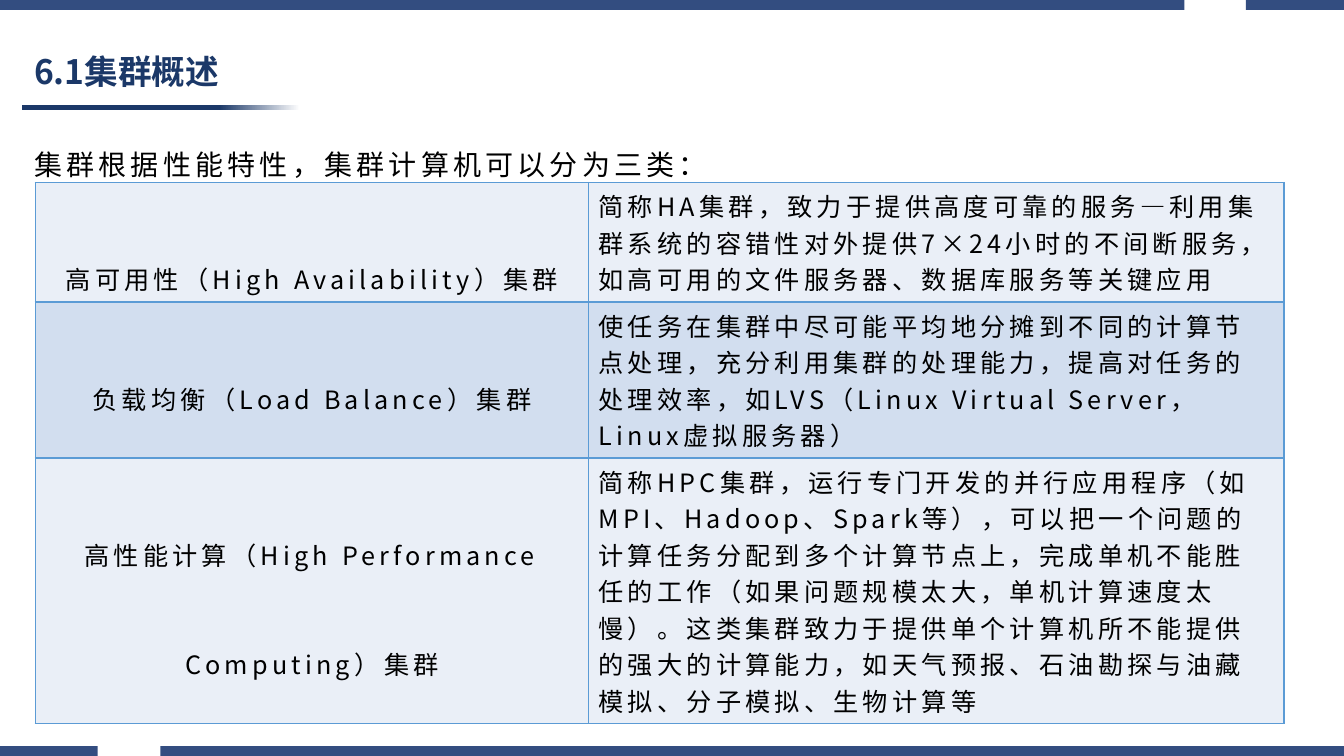
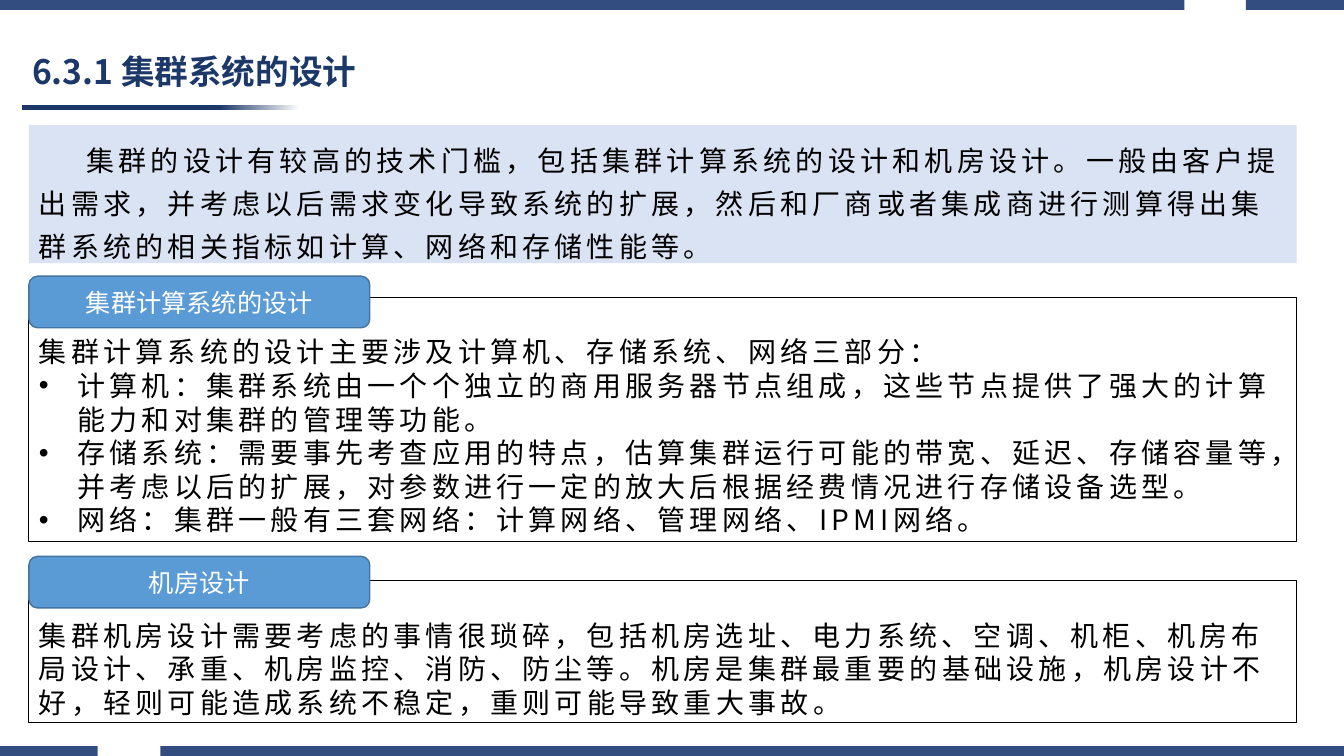
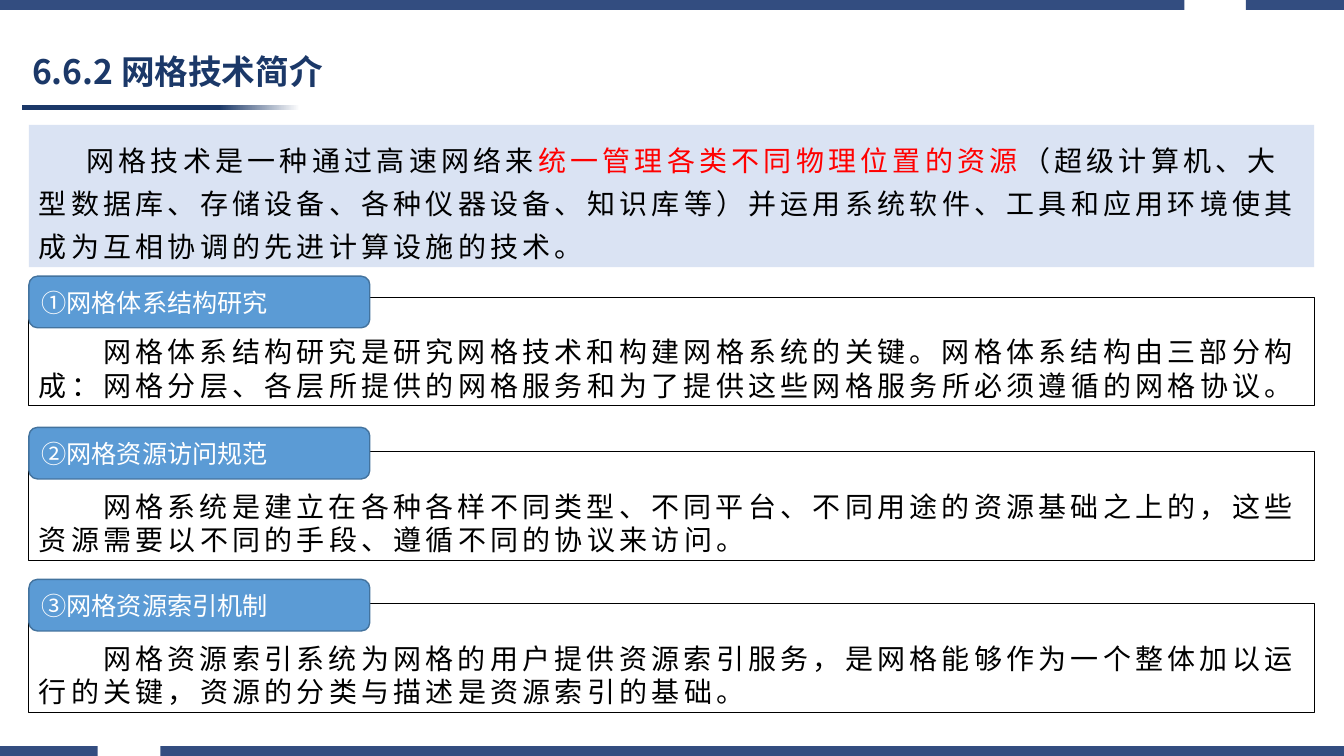
import pptx
import pptx.util
import pptx.dml.color
import pptx.enum.dml
import pptx.enum.shapes
import pptx.enum.text
import pptx.oxml.ns
import lxml.etree
from dataclasses import dataclass

Cm, Pt = pptx.util.Cm, pptx.util.Pt
SHAPE = pptx.enum.shapes.MSO_SHAPE
ALIGN = pptx.enum.text.PP_ALIGN
ANCHOR = pptx.enum.text.MSO_ANCHOR
qn = pptx.oxml.ns.qn


@dataclass(frozen=True)
class Theme:
    font: str = "Noto Sans CJK SC"
    navy: str = "1B3868"
    band: str = "334D80"
    panel: str = "DAE3F3"
    label: str = "5B9BD5"
    label_edge: str = "43739E"
    rows: tuple = ("EAEFF7", "D2DEEF")
    ink: str = "000000"
    accent: str = "FF0000"
    white: str = "FFFFFF"
    title_size: int = 24
    body_size: int = 20
    small_size: int = 18
    tracking: int = 3


T = Theme()
W, H, BAND_H = 33.87, 19.05, 0.25
BANDS = [(0, [(0, 29.85), (31.4, W)]), (H - BAND_H, [(0, 2.46), (4.04, W)])]
LEFT, INSET = 0.73, 0.25
LABEL_W, LABEL_H = 8.59, 1.3
PANEL_TOP = 3.15
BODY_LINE, LEAD_LINE = Pt(24), Pt(31)

CLASSES = {
    "title": "6.1集群概述",
    "lead": "集群根据性能特性，集群计算机可以分为三类：",
    "cols": [13.94, 17.53],
    "rows": [
        (3.01, "高可用性（High Availability）集群",
         "简称HA集群，致力于提供高度可靠的服务—利用集群系统的容错性对外提供7×24小时的不间断服务，"
         "如高可用的文件服务器、数据库服务等关键应用"),
        (3.93, "负载均衡（Load Balance）集群",
         "使任务在集群中尽可能平均地分摊到不同的计算节点处理，充分利用集群的处理能力，提高对任务的处理效率，"
         "如LVS（Linux Virtual Server，Linux虚拟服务器）"),
        (6.69, "高性能计算（High Performance Computing）集群",
         "简称HPC集群，运行专门开发的并行应用程序（如MPI、Hadoop、Spark等），"
         "可以把一个问题的计算任务分配到多个计算节点上，完成单机不能胜任的工作"
         "（如果问题规模太大，单机计算速度太慢）。这类集群致力于提供单个计算机所不能提供的强大的计算能力，"
         "如天气预报、石油勘探与油藏模拟、分子模拟、生物计算等"),
    ],
}

TOPICS = [
    {
        "title": "6.3.1 集群系统的设计",
        "width": 31.95,
        "panel_height": 3.48,
        "intro": [("集群的设计有较高的技术门槛，包括集群计算系统的设计和机房设计。一般由客户提出需求，"
                   "并考虑以后需求变化导致系统的扩展，然后和厂商或者集成商进行测算得出集群系统的相关指标"
                   "如计算、网络和存储性能等。", T.ink)],
        "align": ALIGN.CENTER,
        "sections": [
            ("集群计算系统的设计", 6.96, 7.49, 6.15, [
                ("plain", "集群计算系统的设计主要涉及计算机、存储系统、网络三部分："),
                ("bullet", "计算机：集群系统由一个个独立的商用服务器节点组成，"
                           "这些节点提供了强大的计算能力和对集群的管理等功能。"),
                ("bullet", "存储系统：需要事先考查应用的特点，估算集群运行可能的带宽、延迟、存储容量等，"
                           "并考虑以后的扩展，对参数进行一定的放大后根据经费情况进行存储设备选型。"),
                ("bullet", "网络：集群一般有三套网络：计算网络、管理网络、IPMI网络。"),
            ]),
            ("机房设计", 14.02, 14.63, 3.58, [
                ("plain", "集群机房设计需要考虑的事情很琐碎，包括机房选址、电力系统、空调、机柜、机房布局设计、"
                          "承重、机房监控、消防、防尘等。机房是集群最重要的基础设施，机房设计不好，"
                          "轻则可能造成系统不稳定，重则可能导致重大事故。"),
            ]),
        ],
    },
    {
        "title": "6.6.2 网格技术简介",
        "width": 32.39,
        "panel_height": 3.58,
        "intro": [("网格技术是一种通过高速网络来", T.ink),
                  ("统一管理各类不同物理位置的资源", T.accent),
                  ("（超级计算机、大型数据库、存储设备、各种仪器设备、知识库等）"
                   "并运用系统软件、工具和应用环境使其成为互相协调的先进计算设施的技术。", T.ink)],
        "align": ALIGN.LEFT,
        "sections": [
            ("①网格体系结构研究", 6.96, 7.49, 2.74, [
                ("indent", "网格体系结构研究是研究网格技术和构建网格系统的关键。网格体系结构由三部分构成："
                           "网格分层、各层所提供的网格服务和为了提供这些网格服务所必须遵循的网格协议。"),
            ]),
            ("②网格资源访问规范", 10.77, 11.38, 2.74, [
                ("indent", "网格系统是建立在各种各样不同类型、不同平台、不同用途的资源基础之上的，"
                           "这些资源需要以不同的手段、遵循不同的协议来访问。"),
            ]),
            ("③网格资源索引机制", 14.6, 15.21, 2.74, [
                ("indent", "网格资源索引系统为网格的用户提供资源索引服务，是网格能够作为一个整体加以运行的关键，"
                           "资源的分类与描述是资源索引的基础。"),
            ]),
        ],
    },
]

INDENTS = {"plain": (0, 0), "bullet": (0.97, -0.97), "indent": (0, 1.62), "intro": (0, 1.2)}


def rgb(value):
    return pptx.dml.color.RGBColor.from_string(value)


def add_run(p, text, size, color=T.ink, bold=False, tracking=0):
    r = p.add_run()
    r.text = text
    r.font.size = Pt(size)
    r.font.bold = bold
    r.font.name = T.font
    r.font.color.rgb = rgb(color)
    rPr = r._r.get_or_add_rPr()
    if tracking:
        rPr.set("spc", str(tracking * 100))
    lxml.etree.SubElement(rPr, qn("a:ea")).set("typeface", T.font)


def set_indent(p, kind):
    margin, first = INDENTS[kind]
    pPr = p._p.get_or_add_pPr()
    pPr.set("marL", str(Cm(margin)))
    pPr.set("indent", str(Cm(first)))
    if kind == "bullet":
        lxml.etree.SubElement(pPr, qn("a:buFont")).set("typeface", "Arial")
        lxml.etree.SubElement(pPr, qn("a:buChar")).set("char", "•")


def frame_text(sp, anchor=ANCHOR.TOP, top=0.13):
    tf = sp.text_frame
    tf.word_wrap = True
    tf.vertical_anchor = anchor
    tf.margin_left = tf.margin_right = Cm(INSET)
    tf.margin_top, tf.margin_bottom = Cm(top), Cm(0.13)
    return tf


def add_text(s, x, y, w, h, anchor=ANCHOR.TOP):
    return frame_text(s.shapes.add_textbox(Cm(x), Cm(y), Cm(w), Cm(h)), anchor)


def paint(sp, fill=None, line=None, width=0.75):
    sp.shadow.inherit = False
    if fill:
        sp.fill.solid()
        sp.fill.fore_color.rgb = rgb(fill)
    else:
        sp.fill.background()
    if line:
        sp.line.color.rgb = rgb(line)
        sp.line.width = Pt(width)
    else:
        sp.line.fill.background()
    return sp


def add_box(s, kind, x, y, w, h, **style):
    return paint(s.shapes.add_shape(kind, Cm(x), Cm(y), Cm(w), Cm(h)), **style)


def add_band(s, y, spans):
    fb = None
    for x1, x2 in spans:
        if fb is None:
            fb = s.shapes.build_freeform(Cm(x1), Cm(y))
        else:
            fb.move_to(Cm(x1), Cm(y))
        corners = [(x2, y), (x2, y + BAND_H), (x1, y + BAND_H)]
        fb.add_line_segments([(Cm(a), Cm(b)) for a, b in corners], close=True)
    paint(fb.convert_to_shape(), fill=T.band)


def new_slide(prs, title, x=0.56):
    s = prs.slides.add_slide(prs.slide_layouts[6])
    for y, spans in BANDS:
        add_band(s, y, spans)
    rule = add_box(s, SHAPE.RECTANGLE, 0.55, 2.65, 7.01, 0.13)
    rule.fill.gradient()
    rule.fill.gradient_angle = 0
    for stop, (color, pos) in zip(rule.fill.gradient_stops, [(T.navy, 0.71), (T.white, 1)]):
        stop.color.rgb = rgb(color)
        stop.position = pos
    p = add_text(s, x, 1.14, 12.62, 1.42, ANCHOR.MIDDLE).paragraphs[0]
    p.line_spacing = 0.9
    add_run(p, title, T.title_size, T.navy, bold=True)
    return s


def fill_cell(cell, text, fill, align, spacing):
    tcPr = cell._tc.get_or_add_tcPr()
    for side in ("lnL", "lnR", "lnT", "lnB"):
        ln = lxml.etree.SubElement(tcPr, qn("a:" + side), w=str(Pt(1)))
        solid = lxml.etree.SubElement(ln, qn("a:solidFill"))
        lxml.etree.SubElement(solid, qn("a:srgbClr"), val=T.label)
    cell.fill.solid()
    cell.fill.fore_color.rgb = rgb(fill)
    p = cell.text_frame.paragraphs[0]
    p.alignment = align
    p.line_spacing = spacing
    add_run(p, text, T.small_size, tracking=T.tracking)


def classes_slide(prs, data):
    s = new_slide(prs, data["title"], 0.61)
    p = add_text(s, 0.61, 3.35, 31.12, 1.27).paragraphs[0]
    p.line_spacing = LEAD_LINE
    add_run(p, data["lead"], T.body_size, tracking=T.tracking)
    rows, cols = data["rows"], data["cols"]
    height = sum(row[0] for row in rows)
    table = s.shapes.add_table(len(rows), len(cols), Cm(0.89), Cm(4.6),
                               Cm(sum(cols)), Cm(height)).table
    table.first_row = table.horz_banding = False
    for col, w in zip(table.columns, cols):
        col.width = Cm(w)
    for i, (h, name, detail) in enumerate(rows):
        table.rows[i].height = Cm(h)
        fill = T.rows[i % 2]
        fill_cell(table.cell(i, 0), name, fill, ALIGN.CENTER, 3.0)
        fill_cell(table.cell(i, 1), detail, fill, ALIGN.LEFT, 1.0)


def add_section(s, width, align, name, label_top, box_top, height, paragraphs):
    box = add_box(s, SHAPE.RECTANGLE, LEFT, box_top, width, height, line=T.ink)
    tf = frame_text(box, top=0.95)
    for i, (kind, text) in enumerate(paragraphs):
        p = tf.add_paragraph() if i else tf.paragraphs[0]
        set_indent(p, kind)
        p.alignment = ALIGN.LEFT
        p.line_spacing = BODY_LINE
        add_run(p, text, T.body_size, tracking=T.tracking)
    label = add_box(s, SHAPE.ROUNDED_RECTANGLE, LEFT, label_top, LABEL_W, LABEL_H,
                    fill=T.label, line=T.label_edge, width=1)
    p = frame_text(label, ANCHOR.MIDDLE).paragraphs[0]
    p.alignment = align
    add_run(p, name, T.small_size, T.white)


def topic_slide(prs, data):
    s = new_slide(prs, data["title"])
    panel = add_box(s, SHAPE.RECTANGLE, LEFT, PANEL_TOP, data["width"],
                    data["panel_height"], fill=T.panel)
    p = frame_text(panel, top=0.21).paragraphs[0]
    set_indent(p, "intro")
    p.alignment = ALIGN.LEFT
    p.line_spacing = LEAD_LINE
    for text, color in data["intro"]:
        add_run(p, text, T.body_size, color, tracking=T.tracking)
    for section in data["sections"]:
        add_section(s, data["width"], data["align"], *section)


def main():
    prs = pptx.Presentation()
    prs.slide_width, prs.slide_height = Cm(W), Cm(H)
    classes_slide(prs, CLASSES)
    for topic in TOPICS:
        topic_slide(prs, topic)
    prs.save("out.pptx")


if __name__ == "__main__":
    main()
